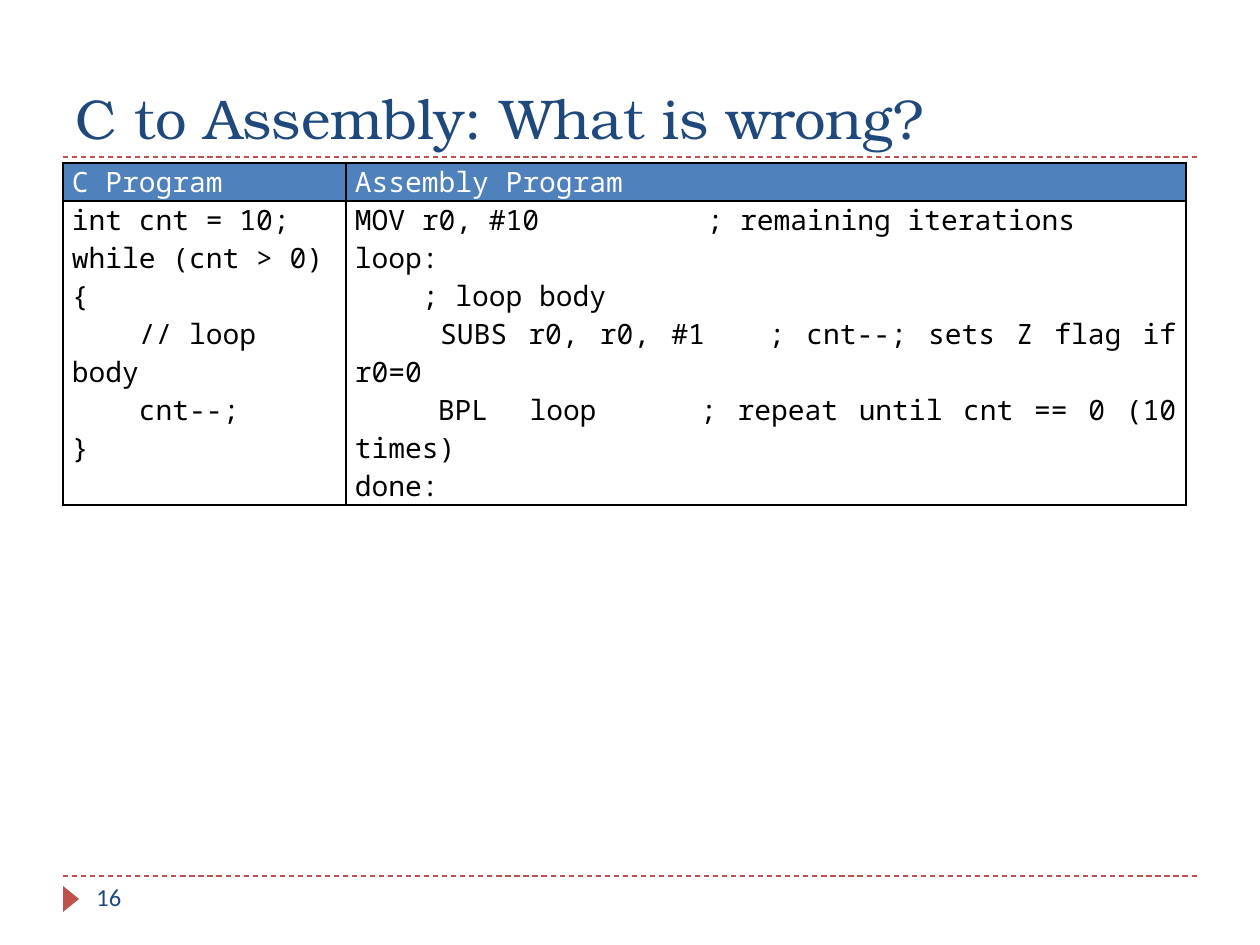
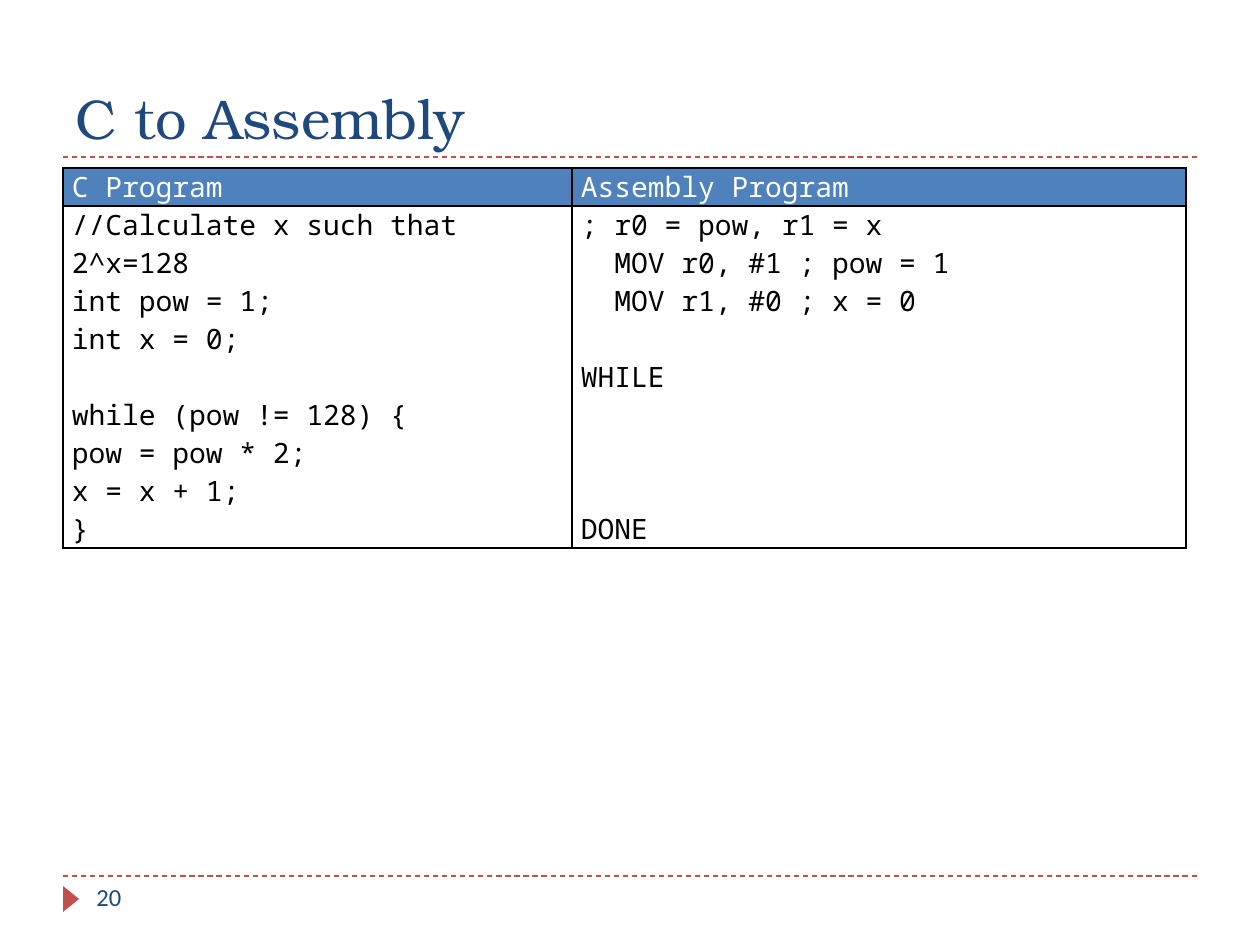
import pptx
import pptx.util
import pptx.dml.color
import pptx.enum.dml
import pptx.enum.shapes
import pptx.enum.text
import pptx.oxml.ns
import lxml.etree

SCALE = 914400 / 126
LEFT, RIGHT = 63, 1197
ROW = 38
HUES = {"rule": "C0504D", "title": "1F497D", "head": "4F81BD",
        "light": "FFFFFF", "dark": "000000"}
FONTS = {"title": "TeX Gyre Bonum", "code": "Noto Sans Mono", "page": "Calibri"}
ALIGN = pptx.enum.text.PP_ALIGN
ANCHOR = pptx.enum.text.MSO_ANCHOR

LOOP_C = """int cnt = 10;
while (cnt > 0) {
    // loop body
    cnt--;
}"""
LOOP_ASM = """MOV r0, #10          ; remaining iterations
loop:
    ; loop body
    SUBS r0, r0, #1   ; cnt--; sets Z flag if r0=0
    BPL  loop     ; repeat until cnt == 0 (10 times)
done:"""
POW_C = """//Calculate x such that 2^x=128
int pow = 1;
int x = 0;

while (pow != 128) {
pow = pow * 2;
x = x + 1;
}"""
POW_ASM = """; r0 = pow, r1 = x
  MOV r0, #1 ; pow = 1
  MOV r1, #0 ; x = 0

WHILE



DONE"""


def px(*sizes):
    return [pptx.util.Emu(round(size * SCALE)) for size in sizes]


def hue(name):
    return pptx.dml.color.RGBColor.from_string(HUES[name])


def style(para, face, size, tint):
    para.font.name = FONTS[face]
    para.font.size = pptx.util.Pt(size)
    para.font.color.rgb = hue(tint)


def add_rule(slide, y):
    kind = pptx.enum.shapes.MSO_CONNECTOR.STRAIGHT
    rule = slide.shapes.add_connector(kind, *px(LEFT, y, RIGHT, y))
    rule.line.color.rgb = hue("rule")
    rule.line.width = pptx.util.Pt(0.75)
    rule.line.dash_style = pptx.enum.dml.MSO_LINE.DASH
    lxml.etree.SubElement(rule._element.spPr, pptx.oxml.ns.qn("a:effectLst"))


def add_mark(slide):
    kind = pptx.enum.shapes.MSO_SHAPE.ISOSCELES_TRIANGLE
    mark = slide.shapes.add_shape(kind, *px(58, 891, 26, 16))
    mark.rotation = 90
    mark.shadow.inherit = False
    mark.fill.solid()
    mark.fill.fore_color.rgb = hue("rule")
    mark.line.fill.background()


def add_text(slide, text, box, face, size, anchor):
    frame = slide.shapes.add_textbox(*px(*box)).text_frame
    frame.word_wrap = True
    frame.vertical_anchor = anchor
    frame.text = text
    style(frame.paragraphs[0], face, size, "title")


def add_frame(slide, title, page):
    add_rule(slide, 876)
    add_rule(slide, 157)
    add_mark(slide)
    add_text(slide, title, (LEFT, 21, 1134, 136), "title", 32, ANCHOR.BOTTOM)
    add_text(slide, page, (84, 876, 273, 50), "page", 14, ANCHOR.TOP)


def add_edges(cell):
    props = cell._tc.get_or_add_tcPr()
    for side in ("lnL", "lnR", "lnT", "lnB"):
        edge = lxml.etree.SubElement(props, pptx.oxml.ns.qn("a:" + side), w="12700")
        fill = lxml.etree.SubElement(edge, pptx.oxml.ns.qn("a:solidFill"))
        lxml.etree.SubElement(fill, pptx.oxml.ns.qn("a:srgbClr"), val=HUES["dark"])


def fill_cell(cell, code, tint, align):
    cell.margin_left, cell.margin_right = px(9, 9)
    cell.margin_top = cell.margin_bottom = 0
    frame = cell.text_frame
    para, gap = frame.paragraphs[0], 0
    for i, line in enumerate(code.split("\n")):
        if not line:
            gap += ROW
            continue
        if i:
            para = frame.add_paragraph()
        para.text = line
        para.alignment = align
        if gap:
            para.space_before = pptx.util.Pt(round(gap * 72 / 126, 1))
        style(para, "code", 16, tint)
        gap = 0


def add_code(slide, top, split, lines, code):
    width = 1123
    shape = slide.shapes.add_table(2, 2, *px(LEFT, top, width, ROW * (lines + 1)))
    table = shape.table
    table.first_row = table.horz_banding = False
    table.columns[0].width, table.columns[1].width = px(split, width - split)
    table.rows[0].height, table.rows[1].height = px(ROW, ROW * lines)
    for col, head in enumerate(("C Program", "Assembly Program")):
        top_cell, body = table.cell(0, col), table.cell(1, col)
        add_edges(top_cell)
        add_edges(body)
        fill_cell(top_cell, head, "light", ALIGN.JUSTIFY)
        fill_cell(body, code[col], "dark", ALIGN.JUSTIFY if col else ALIGN.LEFT)
        top_cell.fill.solid()
        top_cell.fill.fore_color.rgb = hue("head")
        body.fill.background()


def main():
    deck = pptx.Presentation()
    deck.slide_width, deck.slide_height = px(1260, 945)
    pages = [
        ("C to Assembly: What is wrong?", "16", 163, 283, 8, (LOOP_C, LOOP_ASM)),
        ("C to Assembly", "20", 168, 509, 9, (POW_C, POW_ASM)),
    ]
    for title, page, top, split, lines, code in pages:
        slide = deck.slides.add_slide(deck.slide_layouts[6])
        add_frame(slide, title, page)
        add_code(slide, top, split, lines, code)
    deck.save("out.pptx")


if __name__ == "__main__":
    main()
